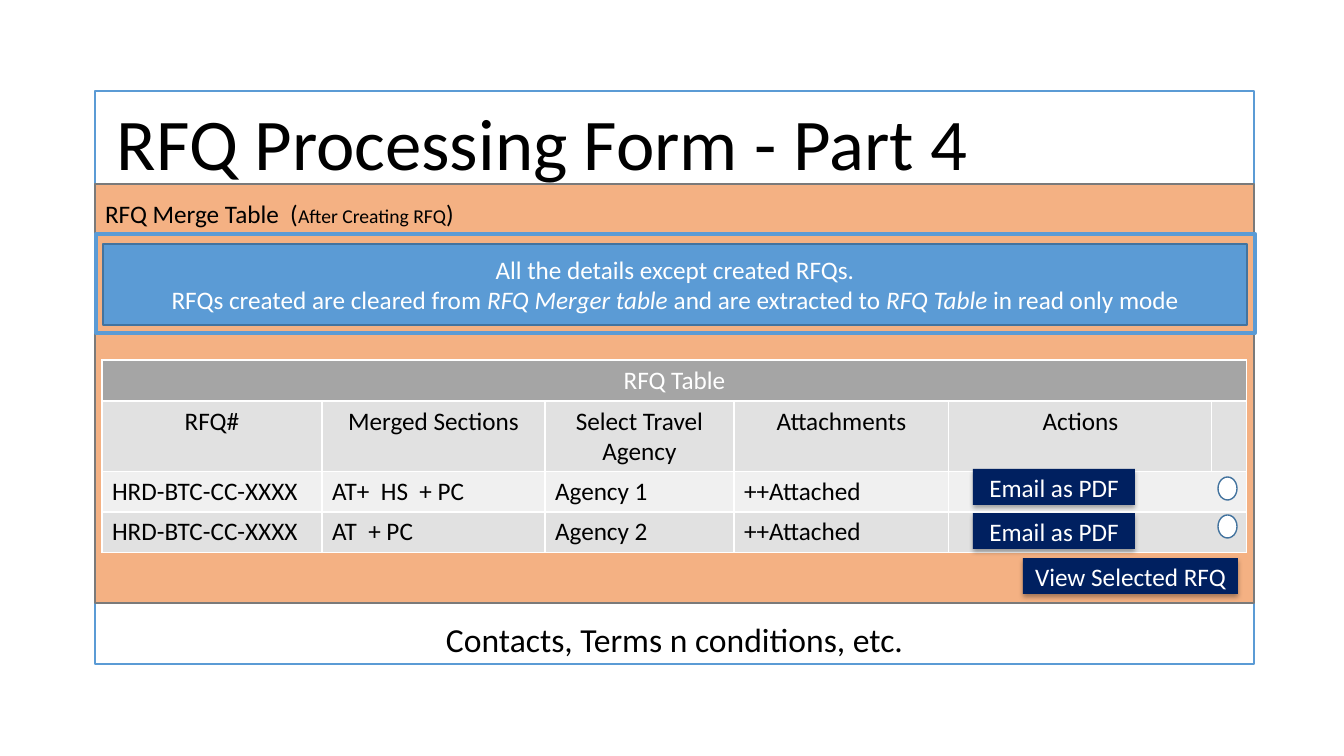
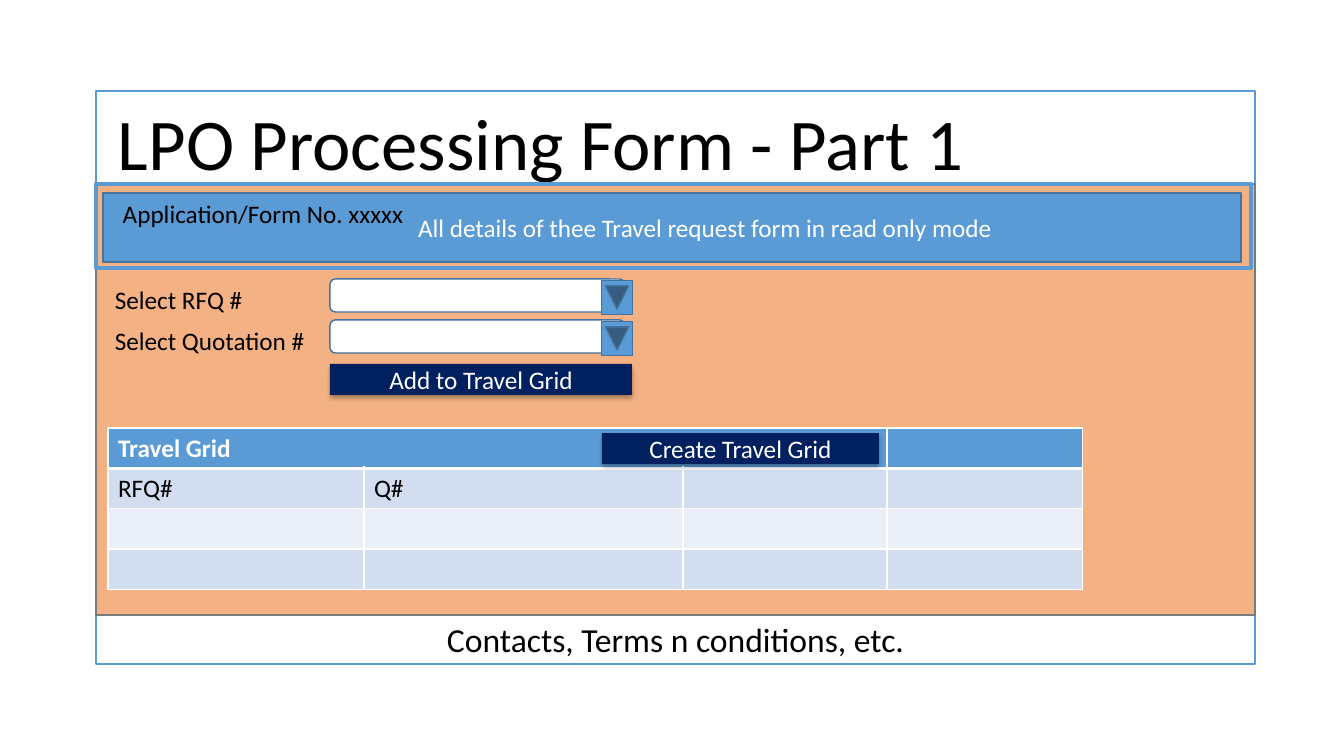
from dataclasses import dataclass

from lxml import etree
from pptx import Presentation
from pptx import util as u
from pptx.dml.color import RGBColor
from pptx.enum import shapes, text
from pptx.oxml.ns import qn

EMU_PER_PX = 914400 / 100.8
CENTER, LEFT = text.PP_ALIGN.CENTER, text.PP_ALIGN.LEFT
TOP, MIDDLE = text.MSO_ANCHOR.TOP, text.MSO_ANCHOR.MIDDLE
SHAPE = shapes.MSO_SHAPE


@dataclass(frozen=True)
class Theme:
    font: str = "Calibri"
    title: int = 52
    footer: int = 24
    body: int = 18
    small: int = 14
    black: str = "000000"
    white: str = "FFFFFF"
    blue: str = "5B9BD5"
    edge: str = "43739E"
    navy: str = "002060"
    orange: str = "F4B183"
    panel_edge: str = "7A7A7A"
    gray: str = "A5A5A5"
    gray_bands: tuple = ("E1E1E1", "F0F0F0")
    blue_bands: tuple = ("D2DEEF", "EAEFF7")


THEME = Theme()


def px(*lengths):
    return [u.Emu(round(n * EMU_PER_PX)) for n in lengths]


def rgb(color):
    return RGBColor.from_string(color)


class FormDeck:
    def __init__(self):
        self.deck = Presentation()
        self.deck.slide_width, self.deck.slide_height = px(1344, 756)
        self.slide = None

    def set_text(self, frame, lines, color=THEME.black, size=THEME.body, align=CENTER,
                 bold=False):
        """Fill a text frame; a line is a string or a list of (text, font settings)."""
        frame.word_wrap = True
        for index, line in enumerate(lines):
            paragraph = frame.add_paragraph() if index else frame.paragraphs[0]
            paragraph.alignment = align
            font = paragraph.font
            font.name, font.size, font.bold = THEME.font, u.Pt(size), bold
            font.color.rgb = rgb(color)
            for words, settings in [(line, {})] if isinstance(line, str) else line:
                run = paragraph.add_run()
                run.text = words
                run.font.size = settings.get("size")
                run.font.italic = settings.get("italic")

    def box(self, bounds, fill=None, line=None, width=1, kind=SHAPE.RECTANGLE, lines=(),
            color=THEME.white, align=CENTER, anchor=MIDDLE, inset_left=10, inset_top=5):
        box = self.slide.shapes.add_shape(kind, *px(*bounds))
        box.shadow.inherit = False
        if fill:
            box.fill.solid()
            box.fill.fore_color.rgb = rgb(fill)
        else:
            box.fill.background()
        if line:
            box.line.color.rgb = rgb(line)
            box.line.width = u.Pt(width)
        else:
            box.line.fill.background()
        frame = box.text_frame
        frame.vertical_anchor = anchor
        frame.margin_left, frame.margin_top = px(inset_left, inset_top)
        self.set_text(frame, lines, color, align=align)
        return box

    def label(self, bounds, words, size=THEME.body, align=LEFT):
        label = self.slide.shapes.add_textbox(*px(*bounds))
        self.set_text(label.text_frame, [words], size=size, align=align)

    def button(self, bounds, words):
        button = self.box(bounds, THEME.navy, lines=[words])
        effects = button.element.spPr.find(qn("a:effectLst"))
        shadow = etree.SubElement(
            effects, qn("a:outerShdw"), blurRad=str(u.Pt(3.5)), dist=str(u.Pt(2.2)),
            dir="5400000", algn="t", rotWithShape="0")
        shade = etree.SubElement(shadow, qn("a:srgbClr"), val=THEME.black)
        etree.SubElement(shade, qn("a:alpha"), val="32000")

    def banner(self, outline, bounds, lines, inset_left=10):
        self.box(bounds, THEME.blue, THEME.edge, lines=lines, inset_left=inset_left)
        self.box(outline, line=THEME.blue, width=3)

    def dropdown(self, left, top):
        self.box((left, top, 295, 33), THEME.white, THEME.edge,
                 kind=SHAPE.ROUNDED_RECTANGLE)
        arrow = self.box((left + 270, top + 3, 34, 31), THEME.blue, THEME.edge,
                         kind=SHAPE.ACTION_BUTTON_FORWARD_OR_NEXT)
        arrow.rotation = 90

    def radio(self, left, top):
        self.box((left, top, 19, 23), THEME.white, THEME.edge,
                 kind=SHAPE.FLOWCHART_CONNECTOR)

    def borders(self, cell, top, bottom):
        properties = cell._tc.get_or_add_tcPr()
        for side, width in (("L", 1), ("R", 1), ("T", top), ("B", bottom)):
            line = etree.SubElement(properties, qn(f"a:ln{side}"), w=str(u.Pt(width)))
            fill = etree.SubElement(line, qn("a:solidFill"))
            etree.SubElement(fill, qn("a:srgbClr"), val=THEME.white)

    def grid(self, corner, columns, heights, rows, header, bands, merges,
             centered_rows=0, bold_header=False, header_rule=1):
        """Draw a banded table; merges lists (row, first column, last column)."""
        table = self.slide.shapes.add_table(
            len(heights), len(columns), *px(*corner, sum(columns), sum(heights))).table
        table.first_row = table.horz_banding = False
        for column, width in zip(table.columns, px(*columns)):
            column.width = width
        for row, height in zip(table.rows, px(*heights)):
            row.height = height
        for r, row in enumerate(table.rows):
            is_header = r == 0
            for c, cell in enumerate(row.cells):
                self.borders(cell, header_rule if r == 1 else 1,
                             header_rule if is_header else 1)
                cell.fill.solid()
                cell.fill.fore_color.rgb = rgb(header if is_header else bands[(r - 1) % 2])
                if r < len(rows) and c < len(rows[r]):
                    self.set_text(cell.text_frame, [rows[r][c]],
                                  THEME.white if is_header else THEME.black,
                                  align=CENTER if r < centered_rows else LEFT,
                                  bold=is_header and bold_header)
        for r, first, last in merges:
            table.cell(r, first).merge(table.cell(r, last))

    def form(self, title, left, panel_height, heading=()):
        """Start a slide with the framed form: title, orange panel and footer."""
        self.slide = self.deck.slides.add_slide(self.deck.slide_layouts[6])
        self.box((left, 91, 1159, 573), THEME.white, THEME.blue)
        self.box((left, 184, 1159, panel_height), THEME.orange, THEME.panel_edge,
                 lines=heading, color=THEME.black, align=LEFT, anchor=TOP, inset_top=14)
        self.label((left + 12, 93, 1121, 99), title, THEME.title)
        self.label((left - 1, 614, 1161, 50), "Contacts, Terms n conditions, etc.",
                   THEME.footer, CENTER)


def rfq_form(deck):
    deck.form("RFQ Processing Form - Part 4", 95, 419, [[
        ("RFQ Merge Table  (", {}),
        ("After Creating RFQ", {"size": u.Pt(THEME.small)}),
        (")", {})]])
    deck.grid(
        (102, 360), (220, 223, 189, 215, 263, 35), (41, 70, 40, 40),
        [["RFQ Table"],
         ["RFQ#", "Merged Sections", "Select Travel Agency", "Attachments", "Actions"],
         ["HRD-BTC-CC-XXXX", "AT+  HS  + PC", "Agency 1", "++Attached"],
         ["HRD-BTC-CC-XXXX", "AT  + PC", "Agency 2", "++Attached"]],
        THEME.gray, THEME.gray_bands, [(0, 0, 5), (2, 4, 5), (3, 4, 5)], centered_rows=2)
    italic = {"italic": True}
    deck.banner((96, 234, 1159, 99), (103, 244, 1144, 81), [
        "All the details except created RFQs.",
        [("RFQs created are cleared from ", {}), ("RFQ Merger table ", italic),
         ("and are extracted to ", {}), ("RFQ Table ", italic),
         ("in read only mode", {})]])
    for button_top, radio_top in ((469, 477), (513, 515)):
        deck.button((973, button_top, 162, 36), "Email as PDF")
        deck.radio(1218, radio_top)
    deck.button((1023, 558, 215, 36), "View Selected RFQ")


def lpo_form(deck):
    deck.form("LPO Processing Form - Part 1", 96, 431)
    deck.banner((96, 184, 1155, 84), (103, 193, 1138, 69),
                ["All details of thee Travel request form in read only mode"],
                inset_left=76)
    deck.label((105, 193, 316, 72), "Application/Form No. xxxxx", align=CENTER)
    for row, words in enumerate(("Select RFQ #", "Select Quotation #")):
        top = 279 + 41 * row
        deck.label((105, top, 225, 40), words)
        deck.dropdown(330, top)
    deck.button((330, 364, 302, 31), "Add to Travel Grid")
    deck.grid((108, 428), (256, 319, 204, 196), (40,) * 4,
              [["Travel Grid"], ["RFQ#", "Q#"]],
              THEME.blue, THEME.blue_bands, [(0, 0, 2)], bold_header=True, header_rule=3)
    deck.button((602, 433, 277, 31), "Create Travel Grid")


def main():
    forms = FormDeck()
    rfq_form(forms)
    lpo_form(forms)
    forms.deck.save("out.pptx")


if __name__ == "__main__":
    main()
